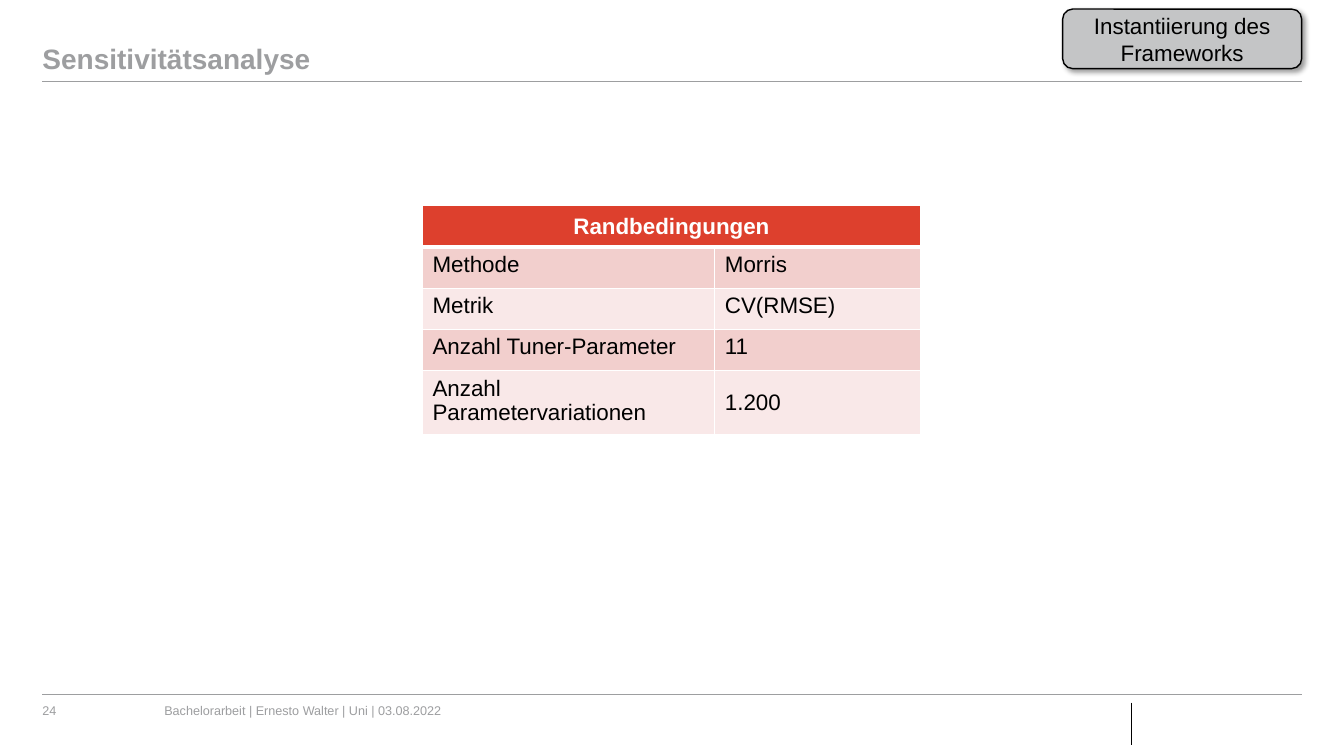
from dataclasses import dataclass

from lxml import etree
from pptx import Presentation
from pptx.dml.color import RGBColor
from pptx.enum.shapes import MSO_CONNECTOR, MSO_SHAPE
from pptx.enum.text import MSO_ANCHOR, PP_ALIGN
from pptx.oxml import parse_xml
from pptx.oxml.ns import nsdecls, qn
from pptx.util import Inches, Pt

STRAIGHT = MSO_CONNECTOR.STRAIGHT
ROUNDED = MSO_SHAPE.FLOWCHART_ALTERNATE_PROCESS
TOP, MIDDLE, BOTTOM = MSO_ANCHOR.TOP, MSO_ANCHOR.MIDDLE, MSO_ANCHOR.BOTTOM
LEFT, CENTER = PP_ALIGN.LEFT, PP_ALIGN.CENTER

BLACK = RGBColor(0x00, 0x00, 0x00)
WHITE = RGBColor(0xFF, 0xFF, 0xFF)
GRAY = RGBColor(0x9D, 0x9E, 0xA0)
SILVER = RGBColor(0xC4, 0xC5, 0xC6)
RED = RGBColor(0xDD, 0x40, 0x2D)
ROSE = RGBColor(0xF2, 0xCF, 0xCD)
BLUSH = RGBColor(0xF9, 0xE8, 0xE8)

EDGE, WIDTH = 0.42, 12.49


@dataclass
class Rule:
    x1: float
    y1: float
    x2: float
    y2: float
    color: RGBColor
    weight: float


@dataclass
class Label:
    text: str
    x: float
    y: float
    w: float
    h: float
    size: int
    bold: bool = False
    anchor: MSO_ANCHOR = TOP
    space: float = 1.0


@dataclass
class Row:
    name: str
    value: str
    height: float = 0.41
    anchor: MSO_ANCHOR = TOP


RULES = [
    Rule(11.22, 6.97, 11.22, 7.39, BLACK, 0.75),
    Rule(EDGE, 0.81, EDGE + WIDTH, 0.81, GRAY, 0.5),
    Rule(EDGE, 6.89, EDGE + WIDTH, 6.89, GRAY, 0.5),
]
LABELS = [
    Label("Bachelorarbeit | Ernesto Walter | Uni | 03.08.2022", 1.63, 6.97, 7.76, 0.47, 9),
    Label("24", EDGE, 6.97, 0.96, 0.15, 9),
    Label("Sensitivitätsanalyse", EDGE, 0.16, WIDTH, 0.59, 20, True, BOTTOM, 0.9),
]
ROWS = [
    Row("Methode", "Morris"),
    Row("Metrik", "CV(RMSE)"),
    Row("Anzahl Tuner-Parameter", "11"),
    Row("Anzahl Parametervariationen", "1.200", 0.63, MIDDLE),
]
COLS = [2.9, 2.04]
HEAD = 0.41


def write(frame, text: str, size: int, color: RGBColor, bold: bool = False,
          align: PP_ALIGN = LEFT, space: float | None = None) -> None:
    para = frame.paragraphs[0]
    para.alignment = align
    if space:
        para.line_spacing = space
    run = para.add_run()
    run.text = text
    style = {"name": "Arial", "size": Pt(size), "bold": bold}
    for key, value in style.items():
        setattr(run.font, key, value)
    run.font.color.rgb = color


def draw_rule(slide, rule: Rule) -> None:
    ends = (Inches(v) for v in (rule.x1, rule.y1, rule.x2, rule.y2))
    line = slide.shapes.add_connector(STRAIGHT, *ends)
    line.line.color.rgb = rule.color
    line.line.width = Pt(rule.weight)
    etree.SubElement(line.element.spPr, qn("a:effectLst"))


def draw_label(slide, label: Label) -> None:
    box = (Inches(v) for v in (label.x, label.y, label.w, label.h))
    frame = slide.shapes.add_textbox(*box).text_frame
    style = {"word_wrap": True, "vertical_anchor": label.anchor, "margin_left": 0,
             "margin_right": 0, "margin_top": 0, "margin_bottom": 0}
    for key, value in style.items():
        setattr(frame, key, value)
    write(frame, label.text, label.size, GRAY, label.bold, space=label.space)


def fill_cell(cell, color: RGBColor, anchor: MSO_ANCHOR, top: int = 1, base: int = 1) -> None:
    props = cell._tc.get_or_add_tcPr()
    for side, width in {"L": 1, "R": 1, "T": top, "B": base}.items():
        props.append(parse_xml(
            f'<a:ln{side} {nsdecls("a")} w="{Pt(width)}"><a:solidFill>'
            f'<a:srgbClr val="{WHITE}"/></a:solidFill></a:ln{side}>'))
    cell.fill.solid()
    cell.fill.fore_color.rgb = color
    cell.vertical_anchor = anchor


def draw_table(slide, rows: list[Row]) -> None:
    tall = HEAD + sum(row.height for row in rows)
    box = (Inches(v) for v in (4.19, 2.04, sum(COLS), tall))
    table = slide.shapes.add_table(len(rows) + 1, len(COLS), *box).table
    for col, width in zip(table.columns, COLS):
        col.width = Inches(width)
    table.rows[0].height = Inches(HEAD)
    for cell in table.rows[0].cells:
        fill_cell(cell, RED, MIDDLE, base=3)
    title = table.cell(0, 0)
    title.merge(table.cell(0, 1))
    write(title.text_frame, "Randbedingungen", 16, WHITE, True, CENTER)
    for i, row in enumerate(rows, 1):
        table.rows[i].height = Inches(row.height)
        for j, text in enumerate((row.name, row.value)):
            cell = table.cell(i, j)
            fill_cell(cell, ROSE if i % 2 else BLUSH, row.anchor if j else TOP,
                      top=3 if i == 1 else 1)
            write(cell.text_frame, text, 16, BLACK)


def draw_badge(slide, text: str) -> None:
    box = (Inches(v) for v in (10.54, 0.09, 2.37, 0.59))
    badge = slide.shapes.add_shape(ROUNDED, *box)
    badge.fill.solid()
    badge.fill.fore_color.rgb = SILVER
    badge.line.color.rgb = BLACK
    badge.line.width = Pt(1)
    badge.shadow.inherit = False
    badge.element.spPr.find(qn("a:effectLst")).append(parse_xml(
        f'<a:outerShdw {nsdecls("a")} blurRad="{Pt(4)}" dist="{Pt(3)}" dir="2700000" '
        f'algn="tl" rotWithShape="0"><a:srgbClr val="{BLACK}">'
        '<a:alpha val="40000"/></a:srgbClr></a:outerShdw>'))
    frame = badge.text_frame
    frame.word_wrap = True
    frame.vertical_anchor = MIDDLE
    write(frame, text, 16, BLACK, align=CENTER)


def main() -> None:
    deck = Presentation()
    deck.slide_width = Inches(13.33)
    deck.slide_height = Inches(7.5)
    slide = deck.slides.add_slide(deck.slide_layouts[6])
    for rule in RULES:
        draw_rule(slide, rule)
    for label in LABELS:
        draw_label(slide, label)
    draw_table(slide, ROWS)
    draw_badge(slide, "Instantiierung des Frameworks")
    deck.save("out.pptx")


if __name__ == "__main__":
    main()
